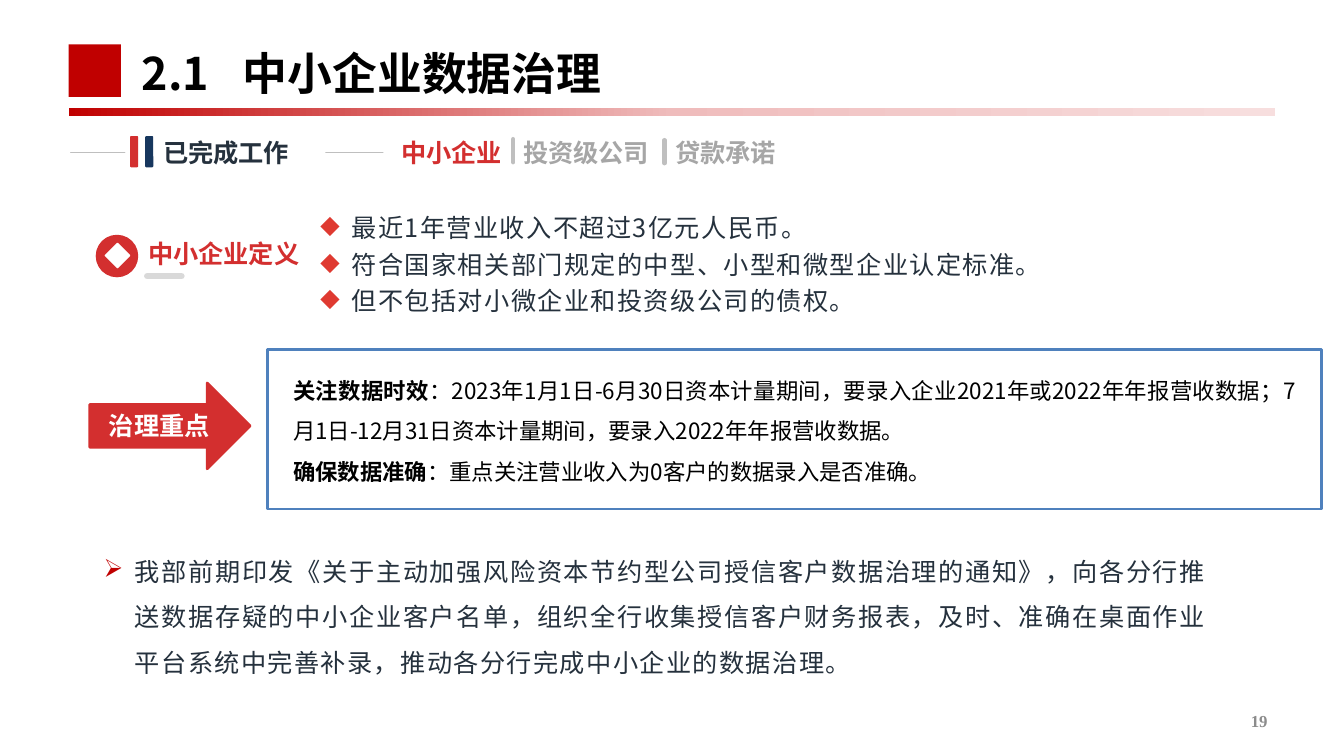
from lxml import etree
from pptx import Presentation
from pptx.dml.color import RGBColor
from pptx.enum.shapes import MSO_CONNECTOR, MSO_SHAPE as Shape
from pptx.enum.text import MSO_ANCHOR as Anchor, PP_ALIGN as Align
from pptx.oxml.ns import qn
from pptx.util import Inches, Pt

FONT = "Noto Sans CJK SC"
NUMBER_FONT = "Times New Roman"
DARK_RED = RGBColor(0xC0, 0x00, 0x00)
RED = RGBColor(0xD3, 0x2F, 0x2F)
BULLET_RED = RGBColor(0xDF, 0x3A, 0x31)
PINK = RGBColor(0xEF, 0xBC, 0xBC)
PALE_PINK = RGBColor(0xF7, 0xDE, 0xDE)
NAVY = RGBColor(0x17, 0x37, 0x5E)
BLUE = RGBColor(0x4F, 0x81, 0xBD)
INK = RGBColor(0x25, 0x31, 0x3D)
BLACK = RGBColor(0, 0, 0)
WHITE = RGBColor(0xFF, 0xFF, 0xFF)
GREY = RGBColor(0xA6, 0xA6, 0xA6)
LINE_GREY = RGBColor(0xBF, 0xBF, 0xBF)
LIGHT_GREY = RGBColor(0xD9, 0xD9, 0xD9)
NUMBER_GREY = RGBColor(0x8C, 0x8C, 0x8C)

TITLE = "2.1\t中小企业数据治理"
# text, left, top, width, colour
HEADINGS = [
    ("已完成工作", 1.52, 1.31, 2.16, INK),
    ("中小企业", 3.88, 1.31, 1.92, RED),
    ("投资级公司", 5.09, 1.31, 1.97, GREY),
    ("贷款承诺", 6.6, 1.31, 2.56, GREY),
    ("中小企业定义", 1.37, 2.32, 3, RED),
]
DEFINITION = [
    "最近1年营业收入不超过3亿元人民币。",
    "符合国家相关部门规定的中型、小型和微型企业认定标准。",
    "但不包括对小微企业和投资级公司的债权。",
]
FOCUS_LABEL = "治理重点"
FOCUS = [
    ("关注数据时效", "：2023年1月1日-6月30日资本计量期间，要录入企业2021年或2022年年报营收数据；"
                 "7月1日-12月31日资本计量期间，要录入2022年年报营收数据。"),
    ("确保数据准确", "：重点关注营业收入为0客户的数据录入是否准确。"),
]
PROGRESS = ("我部前期印发《关于主动加强风险资本节约型公司授信客户数据治理的通知》，向各分行推送数据存疑的"
            "中小企业客户名单，组织全行收集授信客户财务报表，及时、准确在桌面作业平台系统中完善补录，"
            "推动各分行完成中小企业的数据治理。")
PAGE_NUMBER = "19"
# x1, y1, x2, y2, colour, weight
RULES = [
    (0.7, 1.51, 1.24, 1.51, LINE_GREY, 0.5),
    (3.23, 1.51, 3.8, 1.51, LINE_GREY, 0.5),
    (5.09, 1.38, 5.09, 1.61, LINE_GREY, 3),
    (6.59, 1.39, 6.59, 1.62, LINE_GREY, 3),
    (1.46, 2.74, 1.8, 2.74, LIGHT_GREY, 4.5),
]

presentation = Presentation()
presentation.slide_width, presentation.slide_height = Inches(13.33), Inches(7.5)
slide = presentation.slides.add_slide(presentation.slide_layouts[6])


def add_shape(kind, left, top, width, height, fill=None, line=None, weight=1):
    shape = slide.shapes.add_shape(kind, Inches(left), Inches(top), Inches(width), Inches(height))
    shape.shadow.inherit = False
    if fill is None:
        shape.fill.background()
    else:
        shape.fill.solid()
        shape.fill.fore_color.rgb = fill
    if line is None:
        shape.line.fill.background()
    else:
        shape.line.color.rgb = line
        shape.line.width = Pt(weight)
    return shape


def add_rule(x1, y1, x2, y2, color, weight):
    rule = slide.shapes.add_connector(MSO_CONNECTOR.STRAIGHT, Inches(x1), Inches(y1), Inches(x2), Inches(y2))
    rule.line.color.rgb = color
    rule.line.width = Pt(weight)
    properties = rule._element.spPr
    properties.find(qn("a:ln")).set("cap", "rnd")
    etree.SubElement(properties, qn("a:effectLst"))


def add_box(left, top, width, height, anchor=Anchor.TOP):
    frame = slide.shapes.add_textbox(Inches(left), Inches(top), Inches(width), Inches(height)).text_frame
    frame.word_wrap = True
    frame.vertical_anchor = anchor
    return frame


def add_run(paragraph, text, size, color, bold=False, font=FONT, spacing=0):
    run = paragraph.add_run()
    run.text = text
    run.font.size, run.font.bold, run.font.name = Pt(size), bold, font
    run.font.color.rgb = color
    properties = run._r.get_or_add_rPr()
    etree.SubElement(properties, qn("a:ea")).set("typeface", font)
    if spacing:
        properties.set("spc", str(spacing * 100))


def add_paragraph(frame, index, line_spacing):
    paragraph = frame.add_paragraph() if index else frame.paragraphs[0]
    paragraph.alignment = Align.JUSTIFY
    paragraph.line_spacing = line_spacing
    return paragraph


def set_bullet(paragraph, symbol, color, margin):
    properties = paragraph._p.get_or_add_pPr()
    properties.set("marL", str(Inches(margin)))
    properties.set("indent", str(Inches(-0.31)))
    bullet_color = etree.SubElement(properties, qn("a:buClr"))
    etree.SubElement(bullet_color, qn("a:srgbClr")).set("val", str(color))
    etree.SubElement(properties, qn("a:buChar")).set("char", symbol)


def set_gradient(shape, stops):
    """Fill from left to right with (percent, colour) stops."""
    shape.fill.gradient()
    shape.fill.gradient_angle = 0
    stop_list = shape._element.spPr.find(qn("a:gradFill")).find(qn("a:gsLst"))
    for old_stop in list(stop_list):
        stop_list.remove(old_stop)
    for percent, color in stops:
        stop = etree.SubElement(stop_list, qn("a:gs"), pos=str(percent * 1000))
        etree.SubElement(stop, qn("a:srgbClr")).set("val", str(color))


# Title band
add_shape(Shape.RECTANGLE, 0.68, 0.44, 0.52, 0.52, DARK_RED)
title_bar = add_shape(Shape.RECTANGLE, 0.68, 1.07, 11.97, 0.08, DARK_RED)
set_gradient(title_bar, [(0, DARK_RED), (50, PINK), (100, PALE_PINK)])
title = add_box(1.31, 0.34, 7.65, 0.77, Anchor.MIDDLE).paragraphs[0]
tabs = etree.SubElement(title._p.get_or_add_pPr(), qn("a:tabLst"))
etree.SubElement(tabs, qn("a:tab"), pos=str(Inches(1)), algn="l")
add_run(title, TITLE, 32, BLACK, True)

# Section headings and their marks
for rule in RULES:
    add_rule(*rule)
for left, color in ((1.44, NAVY), (1.29, RED)):
    add_shape(Shape.ROUNDED_RECTANGLE, left, 1.35, 0.08, 0.31, color).adjustments[0] = 0.15
add_shape(Shape.OVAL, 0.97, 2.35, 0.38, 0.38, RED, RED, 3)
add_shape(Shape.RECTANGLE, 1.08, 2.45, 0.17, 0.17, WHITE, WHITE).rotation = 45
for text, left, top, width, color in HEADINGS:
    add_run(add_box(left, top, width, 0.4).paragraphs[0], text, 18, color, True)

# Definition
definition = add_box(3.08, 2, 10, 1.19)
for index, text in enumerate(DEFINITION):
    paragraph = add_paragraph(definition, index, Pt(26))
    set_bullet(paragraph, "◆", BULLET_RED, 0.31)
    add_run(paragraph, text, 18, INK, spacing=1)

# Focus
add_shape(Shape.RECTANGLE, 2.65, 3.47, 10.46, 1.58, line=BLUE, weight=2)
focus = add_box(2.81, 3.56, 10.14, 1.31)
for index, (lead, detail) in enumerate(FOCUS):
    paragraph = add_paragraph(focus, index, 1.5)
    add_run(paragraph, lead, 16, BLACK, True)
    add_run(paragraph, detail, 16, BLACK)
arrow = add_shape(Shape.RIGHT_ARROW, 0.89, 3.8, 1.59, 0.85, RED, RED, 2)
arrow.text_frame.word_wrap = True
arrow.text_frame.vertical_anchor = Anchor.MIDDLE
arrow_label = arrow.text_frame.paragraphs[0]
arrow_label.alignment = Align.CENTER
add_run(arrow_label, FOCUS_LABEL, 18, WHITE, True)

# Progress and page number
progress = add_paragraph(add_box(0.81, 5.32, 11.26, 1.46), 0, 1.5)
progress.space_after = Pt(6)
set_bullet(progress, "➢", DARK_RED, 0.43)
add_run(progress, PROGRESS, 18, INK, spacing=1)
page_number = add_box(9.56, 6.95, 3.11, 0.4, Anchor.MIDDLE).paragraphs[0]
page_number.alignment = Align.RIGHT
add_run(page_number, PAGE_NUMBER, 12, NUMBER_GREY, True, NUMBER_FONT)

presentation.save("out.pptx")
